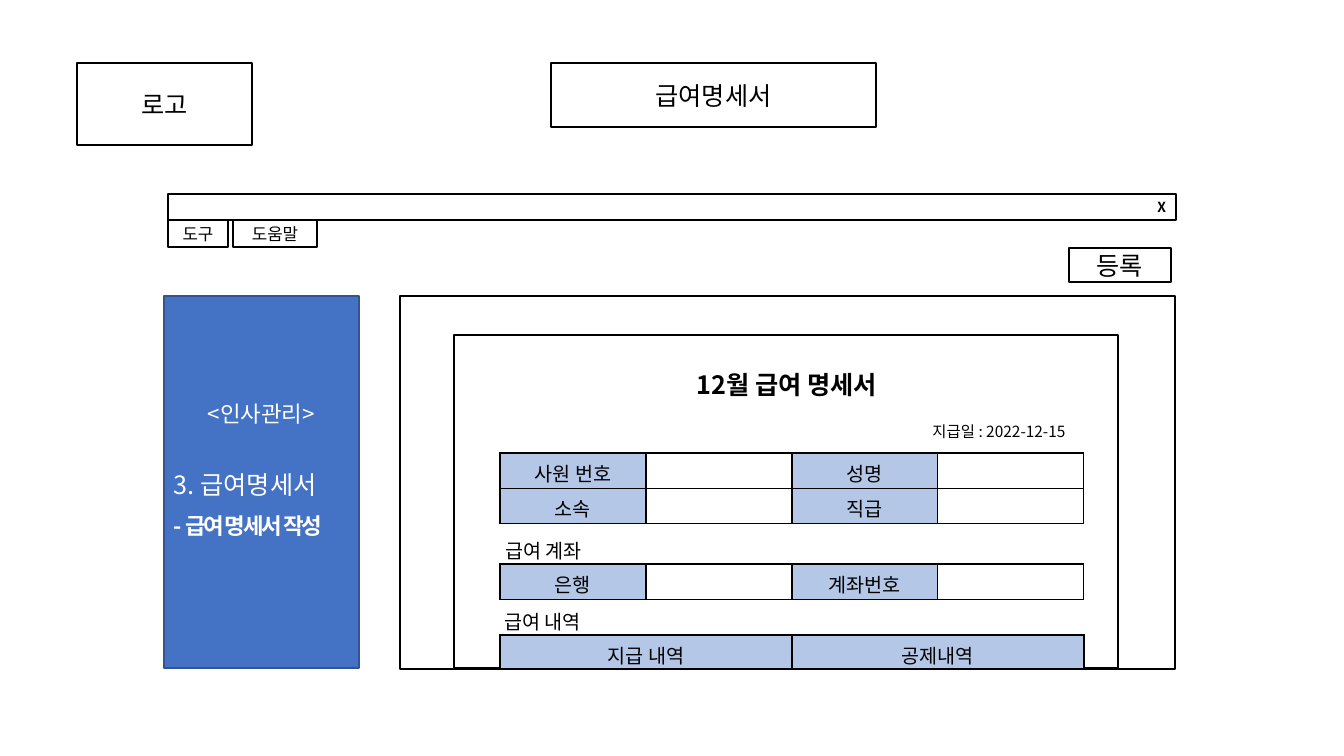
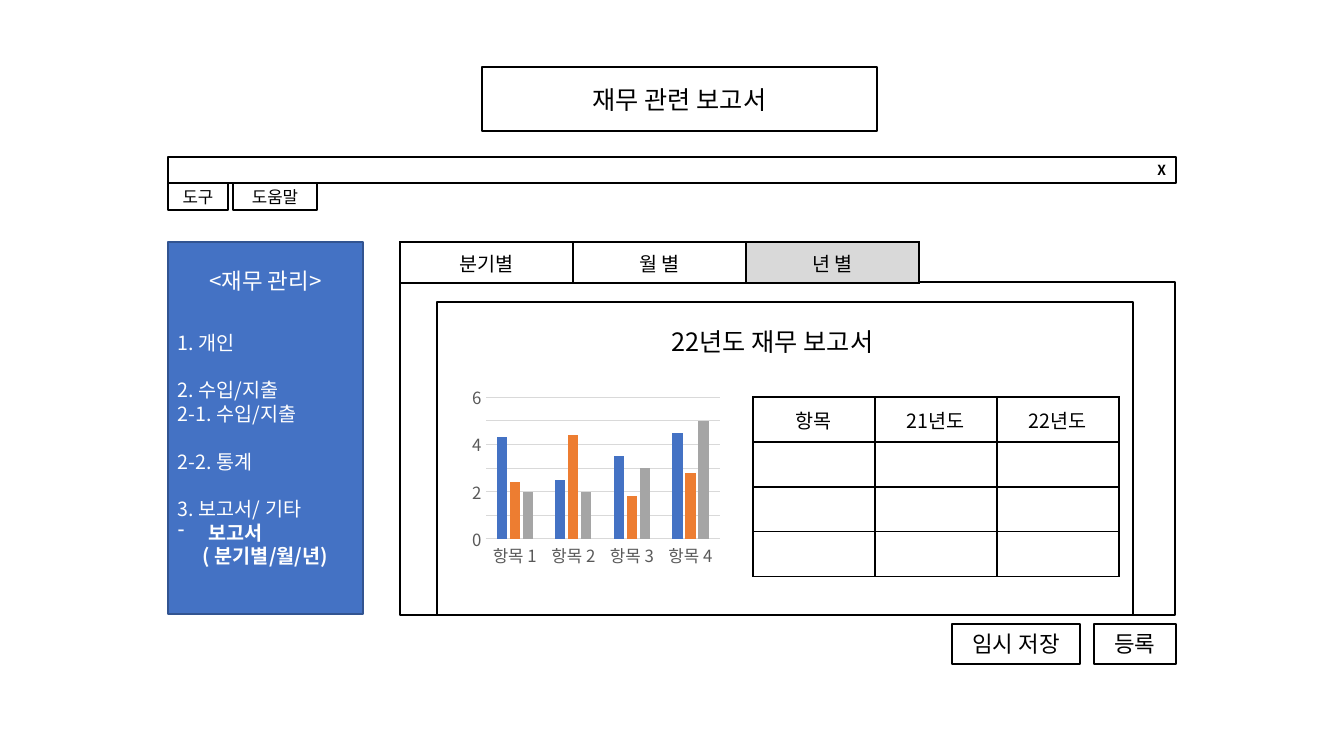
from dataclasses import dataclass
from lxml.etree import SubElement
from pptx import Presentation
from pptx.chart.data import CategoryChartData
from pptx.dml.color import RGBColor
from pptx.enum.chart import XL_CHART_TYPE, XL_TICK_MARK
from pptx.enum.shapes import MSO_SHAPE
from pptx.enum.text import MSO_ANCHOR, PP_ALIGN
from pptx.oxml.ns import qn
from pptx.util import Pt


@dataclass(frozen=True)
class Theme:
    """Colours, font and type sizes shared by the slides."""
    ink: RGBColor = RGBColor(0, 0, 0)
    white: RGBColor = RGBColor(255, 255, 255)
    blue: RGBColor = RGBColor(0x44, 0x72, 0xC4)
    navy: RGBColor = RGBColor(0x32, 0x54, 0x91)
    pale: RGBColor = RGBColor(0xB4, 0xC7, 0xE7)
    gray: RGBColor = RGBColor(0xD9, 0xD9, 0xD9)
    label: RGBColor = RGBColor(0x59, 0x59, 0x59)
    orange: RGBColor = RGBColor(0xED, 0x7D, 0x31)
    silver: RGBColor = RGBColor(0xA5, 0xA5, 0xA5)
    font: str = "Noto Sans CJK KR"
    title: float = 18
    head: float = 16
    body: float = 14
    menu: float = 12
    note: float = 11
    close: float = 9.9


T = Theme()
PX = 914400 / 100.8
LEFT, MID, RIGHT = PP_ALIGN.LEFT, PP_ALIGN.CENTER, PP_ALIGN.RIGHT


def write(para, text, size, color=T.ink, bold=False, align=MID):
    """Add one styled run to a paragraph and return the run."""
    para.alignment = align
    run = para.add_run()
    run.text = text
    font = run.font
    font.name, font.size, font.bold = T.font, Pt(size), bold
    font.color.rgb = color
    SubElement(font._element, qn("a:ea"), typeface=T.font)
    return run


def box(slide, rect, text="", size=T.title, edge=T.ink, fill=T.white,
        bold=False, align=MID):
    """Draw a framed box, or a bare text box without an edge."""
    place = [round(v * PX) for v in rect]
    if edge is None:
        shape = slide.shapes.add_textbox(*place)
    else:
        shape = slide.shapes.add_shape(MSO_SHAPE.RECTANGLE, *place)
        shape.shadow.inherit = False
        shape.fill.solid()
        shape.fill.fore_color.rgb = fill
        shape.line.color.rgb = edge
        shape.line.width = Pt(1)
    frame = shape.text_frame
    frame.word_wrap = True
    frame.vertical_anchor = MSO_ANCHOR.MIDDLE
    frame.margin_top = frame.margin_bottom = 0
    if text:
        write(frame.paragraphs[0], text, size, bold=bold, align=align)
    return shape


deck = Presentation()
deck.slide_width, deck.slide_height = round(1344 * PX), round(756 * PX)
pay, fin = [deck.slides.add_slide(deck.slide_layouts[6]) for _ in range(2)]

# Frames and window bars
box(pay, (400, 296, 775, 373))
box(fin, (400, 282, 775, 333))
for slide, top in (pay, 194), (fin, 157):
    box(slide, (168, top, 1008, 26), "X", T.close, bold=True, align=RIGHT)
    box(slide, (168, top + 26, 60, 27), "도구", T.menu)
    box(slide, (233, top + 26, 84, 27), "도움말", T.menu)

# Titles, buttons and sheets
box(pay, (551, 63, 325, 64), "급여명세서")
box(pay, (77, 63, 175, 82), "로고")
box(pay, (1069, 248, 102, 34), "등록")
box(pay, (454, 335, 664, 333))
box(fin, (482, 67, 395, 64), "재무 관련 보고서")
box(fin, (952, 624, 128, 40), "임시 저장", T.head)
box(fin, (1094, 624, 82, 40), "등록", T.head)
box(fin, (437, 302, 696, 313))

# Captions
for slide, rect, text, size, bold in [
    (pay, (519, 364, 536, 40), "12월 급여 명세서", T.title, True),
    (pay, (896, 417, 206, 29), "지급일 : 2022-12-15", T.note, False),
    (pay, (470, 534, 147, 34), "급여 계좌", T.body, False),
    (pay, (469, 605, 147, 34), "급여 내역", T.body, False),
    (fin, (646, 321, 253, 40), "22년도 재무 보고서", T.title, False),
]:
    box(slide, rect, text, size, edge=None, bold=bold)

# Side menus: text, size, bold, align, gap above, line spacing
pay_menu = [
    ("<인사관리>", T.head, False, MID, 0, 1),
    ("3. 급여명세서", T.title, False, LEFT, 27, 1.5),
    ("- 급여 명세서 작성", T.head, True, LEFT, 0, 1.5),
]
fin_menu = [
    ("<재무 관리>", T.head, False, MID, 0, 1),
    ("1. 개인", T.body, False, LEFT, 37, 1),
    ("2. 수입/지출", T.body, False, LEFT, 24, 1),
    ("2-1. 수입/지출", T.body, False, LEFT, 0, 1),
    ("2-2. 통계", T.body, False, LEFT, 24, 1),
    ("3. 보고서/ 기타", T.body, False, LEFT, 24, 1),
    ("보고서", T.body, True, LEFT, 0, 1),
    ("( 분기별/월/년)", T.body, True, MID, 0, 1),
]
for slide, rect, inset, menu in [
    (pay, (164, 296, 195, 372), 104, pay_menu),
    (fin, (168, 242, 195, 372), 25, fin_menu),
]:
    frame = box(slide, rect, edge=T.navy, fill=T.blue).text_frame
    frame.vertical_anchor = MSO_ANCHOR.TOP
    frame.margin_top = round(inset * PX)
    for i, (text, size, bold, align, gap, pitch) in enumerate(menu):
        para = frame.add_paragraph() if i else frame.paragraphs[0]
        para.space_before = round(gap * PX)
        para.line_spacing = pitch
        run = write(para, text, size, T.white, bold, align)
        if text.startswith("-"):
            run.font._element.set("spc", "-150")
        if text == "보고서":
            props = para._p.get_or_add_pPr()
            props.set("marL", str(round(31 * PX)))
            props.set("indent", str(round(-31 * PX)))
            SubElement(props, qn("a:buChar"), char="-")

# Tables: slide, left, top, column width, row height, top and bottom
# margins, rows, fills by column
pair = [T.pale, T.white] * 2
for slide, x, y, wide, high, pad, rows, fills in [
    (pay, 500, 453, 146, 34, (5, 0),
     [["사원 번호", "", "성명", ""], ["소속", "", "직급", ""]], pair),
    (pay, 500, 564, 146, 34, (5, 0), [["은행", "", "계좌번호", ""]], pair),
    (pay, 500, 635, 292, 34, (5, 0),
     [["지급 내역", "공제내역"]], [T.pale] * 2),
    (fin, 400, 242, 173, 41, (5, 5),
     [["분기별", "월 별", "년 별"]], [T.white, T.white, T.gray]),
    (fin, 753, 397, 122, 45, (5, 5),
     [["항목", "21년도", "22년도"]] + [[""] * 3] * 3, [T.white] * 3),
]:
    size = len(rows), len(fills)
    place = x, y, wide * size[1], high * size[0]
    table = slide.shapes.add_table(*size, *[round(v * PX) for v in place]).table
    table.first_row = table.horz_banding = False
    for col in table.columns:
        col.width = round(wide * PX)
    for r, row in enumerate(rows):
        table.rows[r].height = round(high * PX)
        for c, text in enumerate(row):
            cell = table.cell(r, c)
            cell.vertical_anchor = MSO_ANCHOR.MIDDLE
            cell.margin_top, cell.margin_bottom = [round(v * PX) for v in pad]
            write(cell.text_frame.paragraphs[0], text, T.body)
            props = cell._tc.get_or_add_tcPr()
            for side in "LRTB":
                line = SubElement(props, qn("a:ln" + side), w=str(Pt(1)))
                solid = SubElement(line, qn("a:solidFill"))
                SubElement(solid, qn("a:srgbClr"), val=str(T.ink))
            cell.fill.solid()
            cell.fill.fore_color.rgb = fills[c]

# Report chart
data = CategoryChartData()
data.categories = [f"항목 {n}" for n in range(1, 5)]
data.add_series("Series 1", (4.3, 2.5, 3.5, 4.5))
data.add_series("Series 2", (2.4, 4.4, 1.8, 2.8))
data.add_series("Series 3", (2, 2, 3, 5))
place = [round(v * PX) for v in (467, 381, 258, 191)]
chart = fin.shapes.add_chart(XL_CHART_TYPE.COLUMN_CLUSTERED, *place, data).chart
chart.has_legend = chart.has_title = False
chart.font.name, chart.font.size = T.font, Pt(T.menu)
chart.font.color.rgb = T.label
plot = chart.plots[0]
plot.gap_width, plot.overlap, plot.vary_by_categories = 219, -27, False
for bars, color in zip(plot.series, (T.blue, T.orange, T.silver)):
    bars.format.fill.solid()
    bars.format.fill.fore_color.rgb = color
cats, vals = chart.category_axis, chart.value_axis
for axis in cats, vals:
    axis.major_tick_mark = axis.minor_tick_mark = XL_TICK_MARK.NONE
vals.minimum_scale, vals.maximum_scale, vals.major_unit = 0, 6, 1
vals.format.line.fill.background()
for line in cats.format.line, vals.major_gridlines.format.line:
    line.color.rgb = T.gray
    line.width = Pt(0.75)

deck.save("out.pptx")
